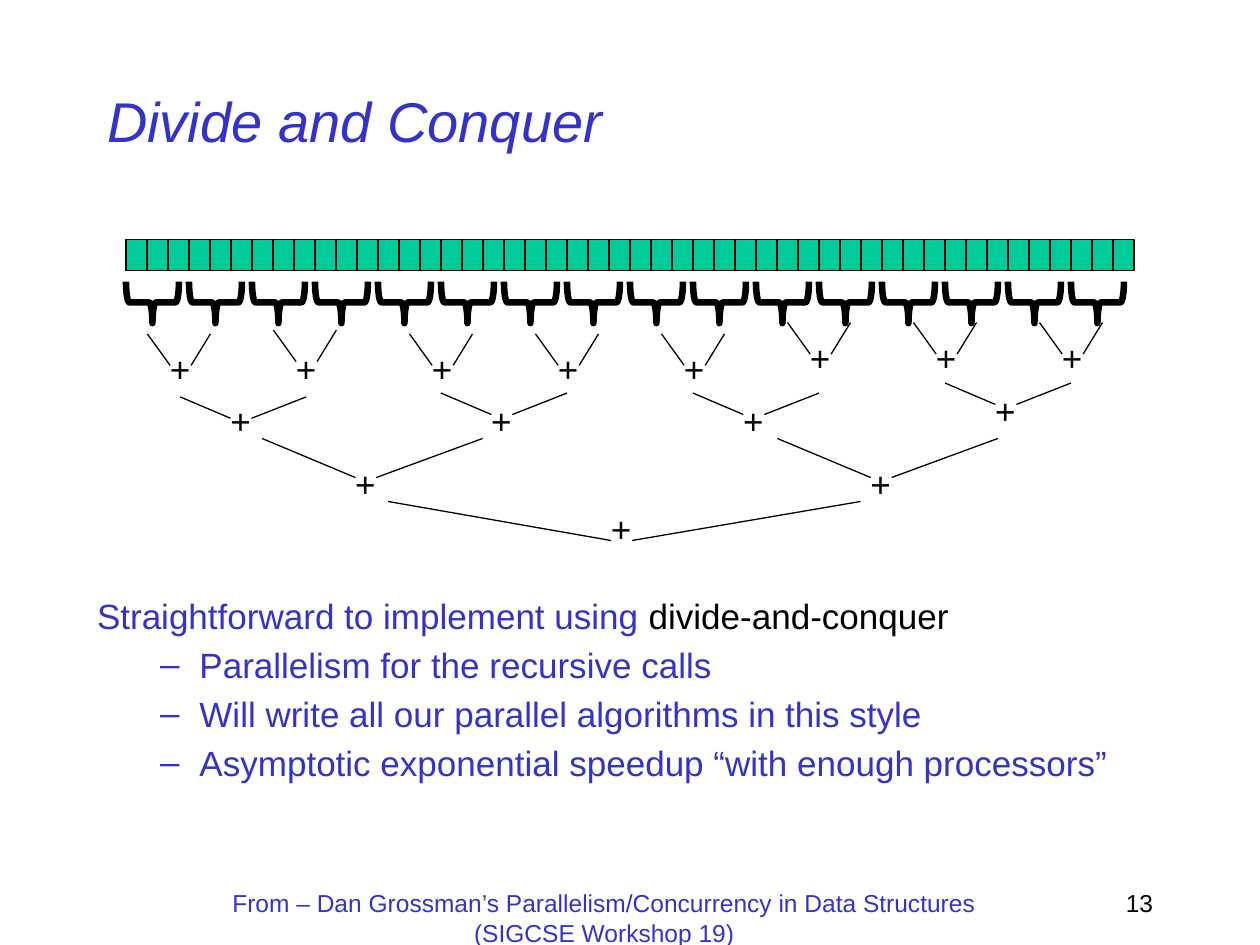
import pptx
import pptx.util
from dataclasses import dataclass
from lxml import etree
from pptx.dml.color import RGBColor
from pptx.enum.shapes import MSO_CONNECTOR, MSO_SHAPE
from pptx.enum.text import MSO_ANCHOR, MSO_AUTO_SIZE, PP_ALIGN
from pptx.oxml.ns import qn


@dataclass(frozen=True)
class Theme:
    font: str = "Arial"
    blue: str = "3333CC"
    green: str = "00CC99"
    black: str = "000000"
    head: int = 32
    body: int = 20
    foot: int = 14
    thin: float = 0.75
    thick: float = 3.75


THEME = Theme()
TITLE = "Divide and Conquer"
LEAD = [("Straightforward to implement using ", THEME.blue),
        ("divide-and-conquer", THEME.black)]
POINTS = [
    "Parallelism for the recursive calls",
    "Will write all our parallel algorithms in this style",
    "Asymptotic exponential speedup “with enough processors”",
]
SOURCE = ("From – Dan Grossman’s Parallelism/Concurrency in Data Structures "
          "(SIGCSE Workshop 19)")
NUMBER = "13"

# Array of cells, with one brace for every three cells
CELLS, CELL, GROUP = 48, 1 / 6, 3
LEFT, TOP, TALL = 1, 1.9, 0.25
BRACE_TOP, BRACE_W, BRACE_H = 2.19, 0.33, 0.42

# Each level of the tree: span and drop of a merge, left of its plus sign,
# then per merge the start of its left branch and the top of its plus sign
LEVELS = [
    (0.5, 0.25, 0.08, [(1.17, 2.65, 2.71), (2.17, 2.62, 2.71),
                       (3.25, 2.65, 2.71), (4.25, 2.65, 2.71),
                       (5.25, 2.65, 2.71), (6.25, 2.56, 2.62),
                       (7.25, 2.56, 2.62), (8.25, 2.56, 2.62)]),
    (1, 0.17, 0.3, [(1.43, 3.15, 3.12), (3.5, 3.12, 3.12),
                    (5.5, 3.12, 3.12), (7.5, 3.04, 3.04)]),
    (1.75, 0.31, 0.64, [(2.08, 3.48, 3.62), (6.17, 3.48, 3.62)]),
    (3.75, 0.31, 1.67, [(3.08, 3.98, 3.98)]),
]
PLUS_W, PLUS_H = 0.36, 0.44
TIP = 0.1  # from the left of a plus sign's box to the left branch's end


def inch(*sizes):
    return [pptx.util.Inches(size) for size in sizes]


def paint(font, size, color, **more):
    look = dict(name=THEME.font, size=pptx.util.Pt(size), **more)
    for key, value in look.items():
        setattr(font, key, value)
    font.color.rgb = RGBColor.from_string(color)


def place(shape, *box):
    for key, value in zip(("left", "top", "width", "height"), inch(*box)):
        setattr(shape, key, value)


def stroke(shape, width):
    shape.line.color.rgb = RGBColor.from_string(THEME.black)
    shape.line.width = pptx.util.Pt(width)


def label(slide, text, box, size, color, align=PP_ALIGN.LEFT, wrap=True):
    frame = slide.shapes.add_textbox(*inch(*box)).text_frame
    frame.word_wrap = wrap
    para = frame.paragraphs[0]
    para.alignment = align
    run = para.add_run()
    run.text = text
    paint(run.font, size, color)


def block(slide, kind, box, width):
    shape = slide.shapes.add_shape(kind, *inch(*box))
    shape.shadow.inherit = False
    stroke(shape, width)
    return shape


def branch(slide, *ends):
    line = slide.shapes.add_connector(MSO_CONNECTOR.STRAIGHT, *inch(*ends))
    stroke(line, THEME.thin)
    etree.SubElement(line._element.spPr, qn("a:effectLst"))


def draw_text(slide):
    title, body = slide.placeholders
    place(title, 0.75, 0.33, 8.5, 1.25)
    title.text_frame.vertical_anchor = MSO_ANCHOR.MIDDLE
    title.text_frame.text = TITLE
    para = title.text_frame.paragraphs[0]
    para.alignment = PP_ALIGN.LEFT
    paint(para.runs[0].font, THEME.head, THEME.blue, italic=True)

    place(body, 0.67, 4.67, 8.5, 2.08)
    frame = body.text_frame
    frame.auto_size = MSO_AUTO_SIZE.NONE
    rows = [(0, LEAD)] + [(1, [(text, THEME.blue)]) for text in POINTS]
    for row, (level, parts) in enumerate(rows):
        para = frame.add_paragraph() if row else frame.paragraphs[0]
        para.level = level
        if not row:
            para.space_before = pptx.util.Pt(0)
            etree.SubElement(para._p.get_or_add_pPr(), qn("a:buNone"))
        paint(para.font, THEME.body, THEME.blue)
        for text, color in parts:
            run = para.add_run()
            run.text = text
            paint(run.font, THEME.body, color)

    label(slide, NUMBER, (7.17, 7, 2.08, 0.5), THEME.foot, THEME.black,
          PP_ALIGN.RIGHT)
    label(slide, SOURCE, (1.67, 7, 6.25, 0.5), THEME.foot, THEME.blue,
          PP_ALIGN.CENTER)


def draw_array(slide):
    for col in range(CELLS):
        cell = block(slide, MSO_SHAPE.RECTANGLE,
                     (LEFT + col * CELL, TOP, CELL, TALL), THEME.thin)
        cell.fill.solid()
        cell.fill.fore_color.rgb = RGBColor.from_string(THEME.green)
    shift = (BRACE_H - BRACE_W) / 2  # the brace turns about its centre
    for col in range(0, CELLS, GROUP):
        brace = block(slide, MSO_SHAPE.LEFT_BRACE,
                      (LEFT + col * CELL + shift, BRACE_TOP,
                       BRACE_W, BRACE_H), THEME.thick)
        brace.fill.background()
        brace.rotation = 270


def draw_tree(slide):
    for span, drop, inset, nodes in LEVELS:
        for x, y, top in nodes:
            tip = x + inset + TIP
            branch(slide, x, y, tip, y + drop)
            branch(slide, x + span, y, tip + CELL, y + drop)
            label(slide, "+", (x + inset, top, PLUS_W, PLUS_H),
                  THEME.body, THEME.black, wrap=False)


def main():
    deck = pptx.Presentation()
    deck.slide_width, deck.slide_height = inch(10, 7.5)
    slide = deck.slides.add_slide(deck.slide_layouts[1])
    draw_text(slide)
    draw_array(slide)
    draw_tree(slide)
    deck.save("out.pptx")


if __name__ == "__main__":
    main()
